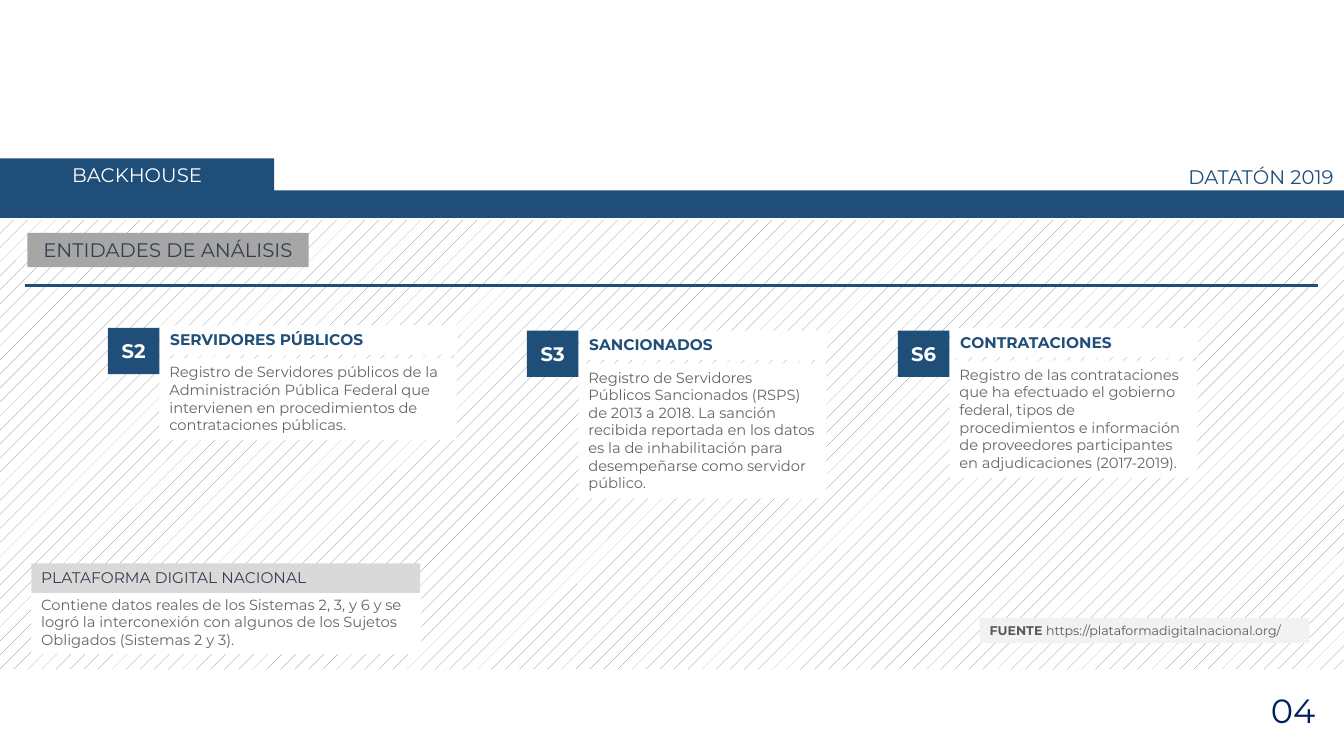
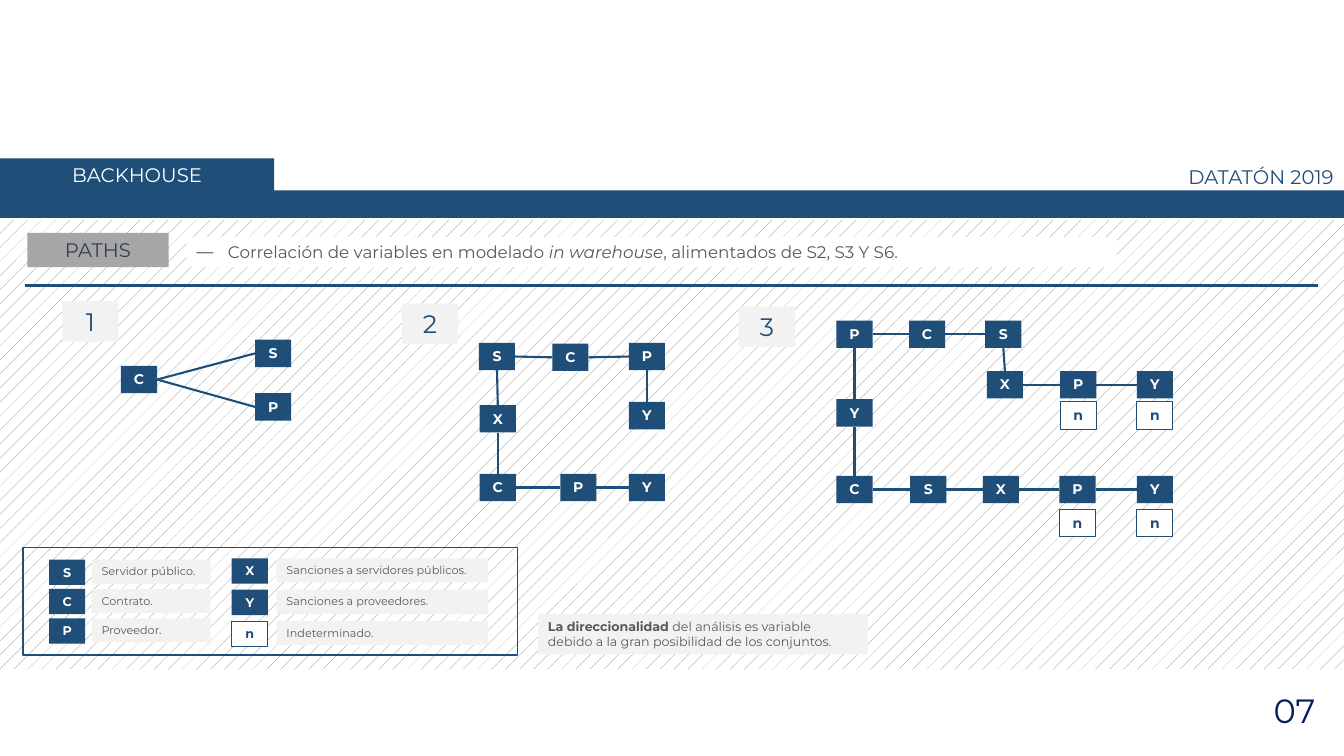
"""Build two slides about the data entities and the paths that join them."""
from lxml.etree import SubElement
from pptx import Presentation
from pptx.dml.color import RGBColor
from pptx.enum.dml import MSO_PATTERN
from pptx.enum.shapes import MSO_CONNECTOR, MSO_SHAPE
from pptx.enum.text import MSO_ANCHOR, MSO_AUTO_SIZE, PP_ALIGN
from pptx.oxml.ns import qn
from pptx.util import Cm, Pt

HUES = {
    "blue": "1F4E79", "navy": "002060", "slate": "333F50", "white": "FFFFFF",
    "steel": "A6A6A6", "silver": "D9D9D9", "pale": "F2F2F2", "gray": "666666",
    "dark": "595959", "dot": "808080",
}
FONT = "Montserrat"
MID = PP_ALIGN.CENTER
STYLES = {
    "band": dict(fill="blue"),
    "tab": dict(fill="blue", ink="white", size=14, align=MID),
    "event": dict(ink="blue", size=14, align=PP_ALIGN.RIGHT),
    "page": dict(ink="navy", size=24, align=PP_ALIGN.RIGHT),
    "title": dict(fill="steel", ink="slate", size=14, align=MID, fixed=True),
    "lead": dict(fill="white", ink="dark", size=12, fixed=True),
    "body": dict(fill="white", ink="gray", size=10.5),
    "head": dict(fill="white", ink="blue", size=11, bold=True),
    "strip": dict(fill="silver", ink="slate", size=11),
    "badge": dict(fill="blue", ink="white", size=14, bold=True, align=MID, fixed=True),
    "note": dict(fill="pale", ink="dark", size=9),
    "label": dict(fill="pale", ink="dark", size=8),
    "digit": dict(fill="pale", ink="blue", size=18, align=MID),
    "node": dict(fill="blue", ink="white", size=10, bold=True, align=MID),
    "many": dict(fill="white", ink="blue", size=10, bold=True, align=MID, edge=0.75),
    "key": dict(fill="blue", ink="white", size=9, bold=True, align=MID),
    "blank": dict(fill="white", ink="blue", size=9, bold=True, align=MID, edge=0.75),
    "frame": dict(edge=1),
}
WIDE, HIGH = 33.87, 19.05

ENTITIES = [
    ("S2", "SERVIDORES PÚBLICOS",
     "Registro de Servidores públicos de la Administración Pública Federal que "
     "intervienen en procedimientos de contrataciones públicas.",
     2.72, 8.26, 8.2, 7.49, 2.06),
    ("S3", "SANCIONADOS",
     "Registro de Servidores Públicos Sancionados (RSPS) de 2013 a 2018. La sanción "
     "recibida reportada en los datos es la de inhabilitación para desempeñarse como "
     "servidor público.",
     13.28, 8.33, 8.33, 6.25, 3.4),
    ("S6", "CONTRATACIONES",
     "Registro de las contrataciones que ha efectuado el gobierno federal, tipos de "
     "procedimientos e información de proveedores participantes en adjudicaciones "
     "(2017-2019).",
     22.63, 8.33, 8.26, 6.25, 2.95),
]
ABOUT = ("Contiene datos reales de los Sistemas 2, 3, y 6 y se logró la interconexión "
         "con algunos de los Sujetos Obligados (Sistemas 2 y 3).")
SOURCE = [("FUENTE ", {"bold": True}), ("https://plataformadigitalnacional.org/", {})]

LEAD = [("Correlación de variables en modelado ", {}), ("in warehouse", {"italic": True}),
        (", alimentados de S2, S3 Y S6.", {})]
REMARK = [("La direccionalidad ", {"bold": True}),
          ("del análisis es variable debido a la gran posibilidad de los conjuntos.", {})]
GRAPHS = [
    ("1", (1.57, 7.59), 2, [("C", 3.05, 9.22), ("S", 6.43, 8.56), ("P", 6.43, 9.91)]),
    ("2", (10.13, 7.65), 4, [
        ("S", 12.07, 8.64), ("C", 13.92, 8.66), ("P", 15.85, 8.64), ("Y", 15.85, 10.13),
        ("X", 12.09, 10.21), ("C", 12.09, 11.94), ("P", 14.12, 11.94), ("Y", 15.85, 11.94)]),
    ("3", (18.62, 7.72), 6, [
        ("P", 21.08, 8.08), ("C", 22.91, 8.08), ("S", 24.83, 8.08), ("X", 24.87, 9.35),
        ("P", 26.72, 9.35), ("Y", 28.65, 9.35), ("Y", 21.08, 10.06), ("C", 21.08, 11.99),
        ("S", 22.94, 11.99), ("X", 24.77, 11.99), ("P", 26.7, 11.99), ("Y", 28.65, 11.99)]),
]
MANY = [(26.72, 10.13), (28.65, 10.13), (26.7, 12.83), (28.65, 12.83)]
LEGEND = [
    (1.24, 14.1, 0.74, 1.07, 3,
     [("S", "Servidor público."), ("C", "Contrato."), ("P", "Proveedor.")]),
    (5.84, 14.07, 0.79, 1.13, 5.33,
     [("X", "Sanciones a servidores públicos."), ("Y", "Sanciones a proveedores."),
      ("n", "Indeterminado.")]),
]


def hue(name):
    """Return the colour of that name."""
    return RGBColor.from_string(HUES[name])


def dress(shape, at, text, name):
    """Place a shape, fill it and write its text in a named style."""
    style = STYLES[name]
    for side, size in zip(("left", "top", "width", "height"), at):
        setattr(shape, side, Cm(size))
    shape.shadow.inherit = False
    if "fill" in style:
        shape.fill.solid()
        shape.fill.fore_color.rgb = hue(style["fill"])
    else:
        shape.fill.background()
    if "edge" in style:
        shape.line.color.rgb = hue("blue")
        shape.line.width = Pt(style["edge"])
    else:
        shape.line.fill.background()
    if not text:
        return shape
    frame = shape.text_frame
    fixed = style.get("fixed")
    look = {
        "word_wrap": True,
        "vertical_anchor": MSO_ANCHOR.MIDDLE if fixed else MSO_ANCHOR.TOP,
        "auto_size": MSO_AUTO_SIZE.NONE if fixed else MSO_AUTO_SIZE.SHAPE_TO_FIT_TEXT,
    }
    for key, value in look.items():
        setattr(frame, key, value)
    para = frame.paragraphs[0]
    para.alignment = style.get("align", PP_ALIGN.LEFT)
    para.space_before = Pt(0)
    for words, extra in [(text, {})] if isinstance(text, str) else text:
        run = para.add_run()
        run.text = words
        base = {"name": FONT, "size": Pt(style["size"]), "bold": style.get("bold", False)}
        for key, value in {**base, **extra}.items():
            setattr(run.font, key, value)
        run.font.color.rgb = hue(style["ink"])
    return shape


def box(slide, at, text, name):
    """Add a box, or a bare text box when the style has no fill or edge."""
    if STYLES[name].keys() & {"fill", "edge"}:
        shape = slide.shapes.add_shape(MSO_SHAPE.RECTANGLE, 0, 0, 0, 0)
    else:
        shape = slide.shapes.add_textbox(0, 0, 0, 0)
    return dress(shape, at, text, name)


def line(slide, ends, width):
    """Add a plain blue line."""
    link = slide.shapes.add_connector(MSO_CONNECTOR.STRAIGHT, *map(Cm, ends))
    link.line.color.rgb = hue("blue")
    link.line.width = Pt(width)
    SubElement(link.element.spPr, qn("a:effectLst"))
    return link


def join(slide, start, end):
    """Link two nodes side to side, or bottom to top when stacked."""
    link = line(slide, (0, 0, 0, 0), 1.5)
    beside = end.left - start.left > start.width
    link.begin_connect(start, 3 if beside else 2)
    link.end_connect(end, 1 if beside else 0)


def share(deck, slide):
    """Move the hatch, bands and rule to the slide master."""
    hatch = box(slide, (0, 5.54, WIDE, 11.33), "", "band")
    hatch.fill.patterned()
    hatch.fill.pattern = MSO_PATTERN.PERCENT_5
    hatch.fill.fore_color.rgb = hue("dot")
    hatch.fill.back_color.rgb = hue("white")
    parts = [
        hatch,
        box(slide, (0, 4.8, WIDE, 0.69), "", "band"),
        line(slide, (0.64, 7.19, 33.22, 7.19), 2.25),
        box(slide, (25.27, 4.04, 8.59, 0.86), "DATATÓN 2019", "event"),
        box(slide, (0, 3.99, 6.91, 0.86), "BACKHOUSE", "tab"),
    ]
    for num, part in enumerate(parts, 100):
        part.element.xpath(".//p:cNvPr")[0].set("id", str(num))
        deck.slide_master.shapes.element.append(part.element)


def start(deck, layout, title, width, page):
    """Add a slide with its title and page number."""
    slide = deck.slides.add_slide(deck.slide_layouts[layout])
    dress(slide.shapes.title, (0.69, 5.87, width, 0.86), title, "title")
    box(slide, (26.49, 17.25, 6.91, 1.27), page, "page")
    return slide


def entities(slide):
    """Draw the three systems, the platform note and the source."""
    for code, head, text, x, y, top, wide, high in ENTITIES:
        box(slide, (x + 1.3, top + 0.83, wide, high), text, "body")
        box(slide, (x, y, 1.3, 1.17), code, "badge")
        box(slide, (x + 1.32, top, wide, 0.74), head, "head")
    box(slide, (0.79, 14.88, 9.83, 1.6), ABOUT, "body")
    box(slide, (0.79, 14.2, 9.8, 0.74), "PLATAFORMA DIGITAL NACIONAL", "strip")
    box(slide, (24.69, 15.57, 8.31, 0.64), SOURCE, "note")


def paths(slide):
    """Draw the lead line, the three graphs and the legend."""
    lead = dress(slide.placeholders[1], (4.7, 5.97, 23.44, 0.76), LEAD, "lead")
    props = lead.text_frame.paragraphs[0]._p.get_or_add_pPr()
    props.set("marL", str(Cm(0.79)))
    props.set("indent", str(Cm(-0.79)))
    SubElement(props, qn("a:buChar")).set("char", "—")
    for digit, spot, branch, nodes in GRAPHS:
        box(slide, (*spot, 1.42, 1.02), digit, "digit")
        made = [box(slide, (x, y, 0.91, 0.69), name, "node") for name, x, y in nodes]
        for num in range(1, len(made)):
            join(slide, made[0 if num == branch else num - 1], made[num])
    for spot in MANY:
        box(slide, (*spot, 0.91, 0.69), "n", "many")
    for x, y, step, shift, wide, rows in LEGEND:
        for row, (name, text) in enumerate(rows):
            top = y + row * step
            box(slide, (x, top, 0.91, 0.64), name, "blank" if name == "n" else "key")
            box(slide, (x + shift, top, wide, 0.61), text, "label")
    box(slide, (0.58, 13.79, 12.47, 2.72), "", "frame")
    box(slide, (13.56, 15.47, 8.31, 1.02), REMARK, "note")


deck = Presentation()
deck.slide_width, deck.slide_height = Cm(WIDE), Cm(HIGH)
first = start(deck, 5, "ENTIDADES DE ANÁLISIS", 7.09, "04")
share(deck, first)
entities(first)
paths(start(deck, 1, "PATHS", 3.56, "07"))
deck.save("out.pptx")
